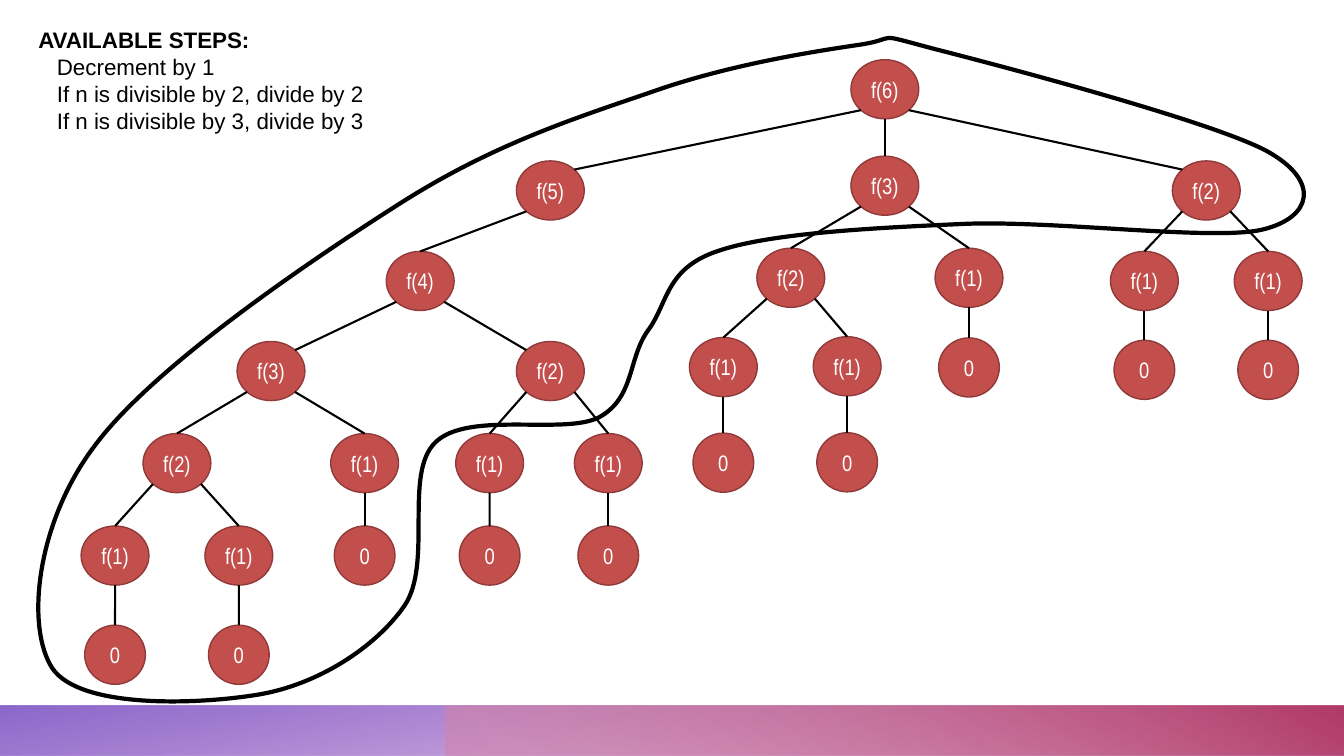
from math import cos, radians, sin

from lxml import etree
from pptx import Presentation
from pptx.dml.color import RGBColor
from pptx.enum.shapes import MSO_CONNECTOR, MSO_SHAPE
from pptx.enum.text import MSO_ANCHOR, MSO_AUTO_SIZE, PP_ALIGN
from pptx.oxml import parse_xml
from pptx.oxml.ns import nsdecls, qn
from pptx.util import Cm, Pt

STRAIGHT = MSO_CONNECTOR.STRAIGHT
RECTANGLE, ELLIPSE = MSO_SHAPE.RECTANGLE, MSO_SHAPE.OVAL
TOP, MIDDLE = MSO_ANCHOR.TOP, MSO_ANCHOR.MIDDLE
LEFT, CENTER = PP_ALIGN.LEFT, PP_ALIGN.CENTER
NO_AUTOFIT = MSO_AUTO_SIZE.NONE

BLACK, WHITE, NODE_FILL, NODE_LINE = "000000", "FFFFFF", "C34F4D", "903A39"
CALL_WIDTH, BASE_WIDTH, NODE_HEIGHT = 1.71, 1.53, 1.49

# Connection sites of an ellipse, counted anticlockwise from the top
SITE_TOP, SITE_TOP_LEFT, SITE_BOTTOM_LEFT = 0, 1, 3
SITE_BOTTOM, SITE_BOTTOM_RIGHT, SITE_TOP_RIGHT = 4, 5, 7

HEADING = "AVAILABLE STEPS:"
STEPS = [
    "Decrement by 1",
    "If n is divisible by 2, divide by 2",
    "If n is divisible by 3, divide by 3",
]

# Calls above f(1): key, label, centre x and y, parent key, site where the edge arrives
CALLS = [
    ("6", "f(6)", 22.3, 2.25, None, None),
    ("5", "f(5)", 13.87, 4.8, "6", SITE_TOP_RIGHT),
    ("3 middle", "f(3)", 22.3, 4.68, "6", SITE_TOP),
    ("2 right", "f(2)", 30.4, 4.8, "6", SITE_TOP_LEFT),
    ("4", "f(4)", 10.59, 7.08, "5", SITE_TOP),
    ("2 middle", "f(2)", 19.93, 7.0, "3 middle", SITE_TOP),
    ("3 left", "f(3)", 6.83, 9.35, "4", SITE_TOP_RIGHT),
    ("2 inner", "f(2)", 13.87, 9.35, "4", SITE_TOP_LEFT),
    ("2 left", "f(2)", 4.46, 11.67, "3 left", SITE_TOP),
]

# Each f(1): parent key, centre x and y, centre y of the 0 below it
LAST_CALLS = [
    ("3 middle", 24.42, 7.0, 9.26),
    ("2 right", 28.84, 7.08, 9.32),
    ("2 right", 31.96, 7.08, 9.32),
    ("2 middle", 18.23, 9.25, 11.66),
    ("2 middle", 21.35, 9.23, 11.65),
    ("2 inner", 12.34, 11.67, 14.0),
    ("2 inner", 15.33, 11.67, 14.0),
    ("3 left", 9.19, 11.67, 14.0),
    ("2 left", 2.9, 14.0, 16.5),
    ("2 left", 6.02, 14.0, 16.5),
]

# Outline round the evaluated calls: box corners, start, then control, control, end
OUTLINE_CORNERS = [(0.97, 0.94), (32.84, 17.68)]
OUTLINE_START = (23.57, 1.24)
OUTLINE_CURVES = [
    ((21.87, 0.79), (22.78, 0.97), (21.59, 1.14)),
    ((20.37, 1.32), (18.29, 1.65), (16.36, 2.34)),
    ((14.43, 3.0), (12.37, 3.66), (10.03, 5.16)),
    ((7.72, 6.63), (3.84, 9.27), (2.39, 11.23)),
    ((0.91, 13.18), (0.64, 15.8), (1.32, 16.84)),
    ((2.03, 17.88), (5.05, 17.75), (6.53, 17.5)),
    ((8.0, 17.25), (9.45, 16.33), (10.19, 15.27)),
    ((10.92, 14.2), (10.16, 11.94), (10.97, 11.15)),
    ((11.79, 10.34), (14.2, 10.97), (15.09, 10.52)),
    ((16.0, 10.03), (15.82, 9.04), (16.33, 8.33)),
    ((16.84, 7.65), (16.76, 6.76), (18.11, 6.32)),
    ((19.43, 5.87), (22.07, 5.74), (24.36, 5.64)),
    ((26.64, 5.56), (30.56, 6.07), (31.8, 5.79)),
    ((33.07, 5.49), (33.3, 4.57), (31.93, 3.81)),
    ((30.56, 3.07), (25.3, 1.68), OUTLINE_START),
]


def color(value):
    return RGBColor.from_string(value)


def set_line(line, value, width):
    line.color.rgb = color(value)
    line.width = Pt(width)


def set_font(paragraph, name, value, bold=False):
    font = paragraph.font
    font.name, font.size, font.bold = name, Pt(16), bold
    font.color.rgb = color(value)


def fill_steps(placeholder):
    placeholder.left, placeholder.top = Cm(0.71), Cm(0.53)
    placeholder.width, placeholder.height = Cm(8.81), Cm(3.76)
    frame = placeholder.text_frame
    frame.text = "\n".join([HEADING] + STEPS)
    frame.auto_size, frame.vertical_anchor = NO_AUTOFIT, TOP
    frame.word_wrap = False
    for index, paragraph in enumerate(frame.paragraphs):
        paragraph.alignment, paragraph.line_spacing = LEFT, 1.0
        paragraph.space_before = Pt(0)
        set_font(paragraph, "Arial", BLACK, bold=index == 0)
        properties = paragraph._p.get_or_add_pPr()
        properties.set("marL", str(Cm(0.47 if index else 0)))
        properties.set("indent", "0")
        # Bullet settings come before the default run properties
        properties.find(qn("a:defRPr")).addprevious(etree.Element(qn("a:buNone")))


def add_band(slide, left, width, stops, angle, rotation=0):
    band = slide.shapes.add_shape(RECTANGLE, Cm(left), Cm(17.78), Cm(width), Cm(1.27))
    band.shadow.inherit = False
    band.line.fill.background()
    band.rotation = rotation
    properties = band._element.spPr
    properties.find(qn("a:xfrm")).set("flipH", "1")
    stop_xml = "".join(
        f'<a:gs pos="{position * 1000}"><a:srgbClr val="{value}">'
        f'<a:alpha val="{alpha * 1000}"/></a:srgbClr></a:gs>'
        for position, value, alpha in stops
    )
    gradient = parse_xml(
        f'<a:gradFill {nsdecls("a")} rotWithShape="1"><a:gsLst>{stop_xml}</a:gsLst>'
        f'<a:lin ang="{angle * 60000}" scaled="0"/></a:gradFill>'
    )
    properties.find(qn("a:prstGeom")).addnext(gradient)


def add_node(slide, label, x, y, width=CALL_WIDTH):
    node = slide.shapes.add_shape(
        ELLIPSE, Cm(x - width / 2), Cm(y - NODE_HEIGHT / 2), Cm(width), Cm(NODE_HEIGHT)
    )
    node.shadow.inherit = False
    node.fill.solid()
    node.fill.fore_color.rgb = color(NODE_FILL)
    set_line(node.line, NODE_LINE, 1)
    frame = node.text_frame
    frame.text = label
    frame.word_wrap, frame.vertical_anchor = False, MIDDLE
    frame.margin_left = frame.margin_right = 0
    frame.paragraphs[0].alignment = CENTER
    set_font(frame.paragraphs[0], "Arial Narrow", WHITE)
    return node


def site_point(node, site):
    angle = radians(45 * site)
    x = node.left + node.width / 2 * (1 - sin(angle))
    y = node.top + node.height / 2 * (1 - cos(angle))
    return round(x), round(y)


def add_edge(slide, parent, child, child_site=SITE_TOP):
    offset = child.left + child.width / 2 - parent.left - parent.width / 2
    if abs(offset) < Cm(0.1):
        parent_site = SITE_BOTTOM
    else:
        parent_site = SITE_BOTTOM_LEFT if offset < 0 else SITE_BOTTOM_RIGHT
    edge = slide.shapes.add_connector(
        STRAIGHT, *site_point(parent, parent_site), *site_point(child, child_site)
    )
    set_line(edge.line, BLACK, 1.5)
    etree.SubElement(edge._element.spPr, qn("a:effectLst"))
    # Glue both ends to their nodes
    glue = edge._element.find(".//" + qn("p:cNvCxnSpPr"))
    for tag, node, site in (("a:stCxn", parent, parent_site), ("a:endCxn", child, child_site)):
        etree.SubElement(glue, qn(tag), id=str(node.shape_id), idx=str(site))


def add_outline(slide):
    # The corners fix the size of the freeform; curves then take the place of its lines
    builder = slide.shapes.build_freeform(*map(Cm, OUTLINE_START))
    builder.add_line_segments([tuple(map(Cm, corner)) for corner in OUTLINE_CORNERS], close=False)
    outline = builder.convert_to_shape()
    outline.shadow.inherit = False
    outline.fill.background()
    set_line(outline.line, BLACK, 3)
    contour = outline._element.find(".//" + qn("a:path"))
    for segment in contour.findall(qn("a:lnTo")):
        contour.remove(segment)
    for points in OUTLINE_CURVES:
        curve = etree.SubElement(contour, qn("a:cubicBezTo"))
        for x, y in points:
            place = {"x": str(Cm(x) - outline.left), "y": str(Cm(y) - outline.top)}
            etree.SubElement(curve, qn("a:pt"), place)
    etree.SubElement(contour, qn("a:close"))


def add_call_tree(slide):
    nodes = {}
    for key, label, x, y, parent, site in CALLS:
        nodes[key] = add_node(slide, label, x, y)
        if parent:
            add_edge(slide, nodes[parent], nodes[key], site)
    for parent, x, y, base_y in LAST_CALLS:
        call = add_node(slide, "f(1)", x, y)
        base = add_node(slide, "0", x, base_y, BASE_WIDTH)
        add_edge(slide, nodes[parent], call)
        add_edge(slide, call, base)


def main():
    presentation = Presentation()
    presentation.slide_width, presentation.slide_height = Cm(33.87), Cm(19.05)
    slide = presentation.slides.add_slide(presentation.slide_layouts[1])

    # Footer bands
    add_band(slide, 0, 33.87, [(14, "963BB1", 28), (100, "774DC3", 85)], 100, rotation=180)
    add_band(slide, 11.22, 22.65, [(9, "D684A4", 55), (99, "B13B6A", 100)], 240)

    # List of steps in the body; the slide has no separate title
    fill_steps(slide.placeholders[1])
    title = slide.shapes.title._element
    title.getparent().remove(title)

    # Recursion tree and the outline round its evaluated part
    add_call_tree(slide)
    add_outline(slide)
    presentation.save("out.pptx")


main()
